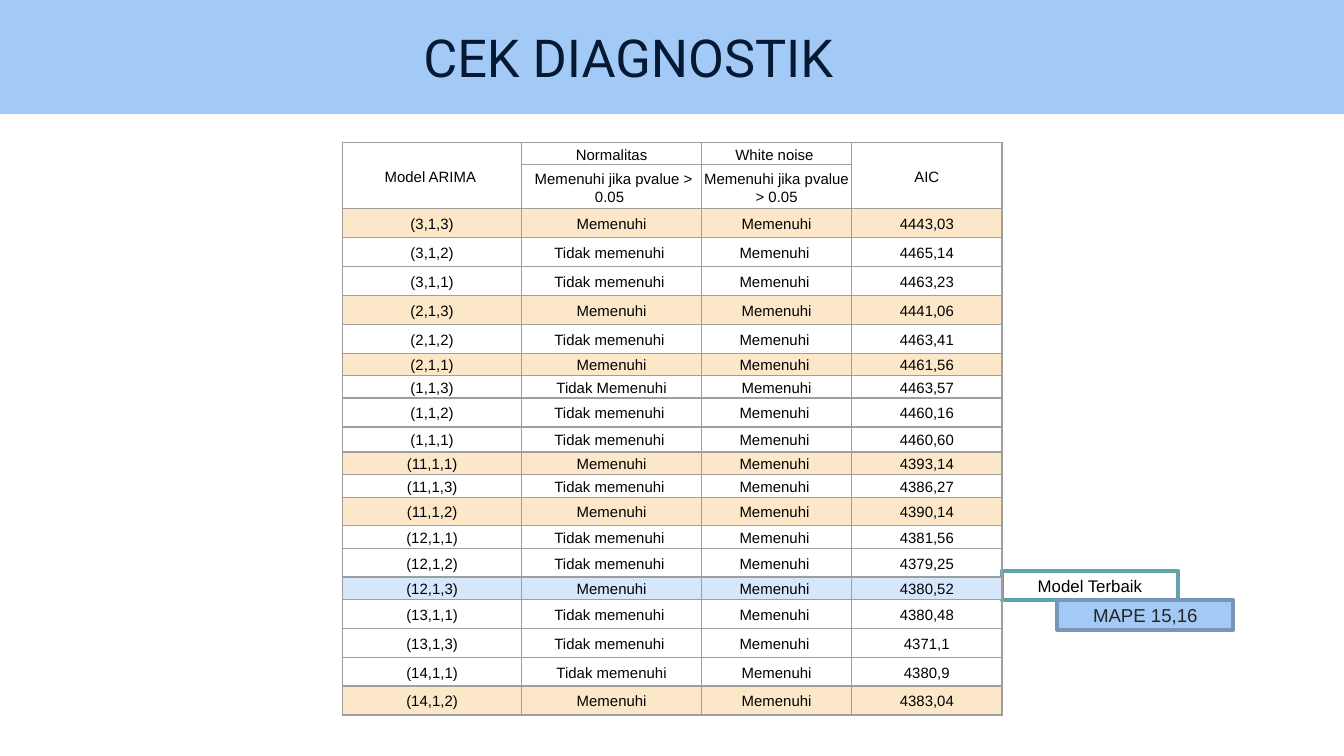
from dataclasses import dataclass

from lxml import etree
from pptx import Presentation
from pptx.dml.color import RGBColor
from pptx.enum.shapes import MSO_SHAPE
from pptx.enum.text import MSO_ANCHOR, PP_ALIGN
from pptx.oxml.ns import qn
from pptx.util import Pt

RECTANGLE = MSO_SHAPE.RECTANGLE
CENTER, LEFT = PP_ALIGN.CENTER, PP_ALIGN.LEFT
MIDDLE, TOP = MSO_ANCHOR.MIDDLE, MSO_ANCHOR.TOP
TITLE_ONLY_LAYOUT = 5

SLIDE_WIDTH, SLIDE_HEIGHT = 720, 405
BAND_HEIGHT = 61.2
TABLE_LEFT, TABLE_TOP = 183.4, 76.3
COLUMN_WIDTHS = (96.2, 96.2, 80.6, 80.4)

BLUE, NAVY, BLACK, WHITE = "A3CAF7", "051934", "000000", "FFFFFF"
BORDER = "9E9E9E"
PASSED, BEST, PLAIN = "FCE7C9", "D6E6FB", None
SHORT, TALL = 12, 15.5


@dataclass(frozen=True)
class Row:
    values: tuple
    height: float = TALL
    fill: str | None = PLAIN


@dataclass(frozen=True)
class Callout:
    text: str
    left: float
    top: float
    fill: str
    line: str
    font_size: float
    font_color: str


FAILED_TEXT, PASSED_TEXT = "Tidak memenuhi ", "Memenuhi "

ROWS = (
    Row(("Model ARIMA ", "Normalitas", "White noise ", "AIC"), SHORT),
    Row(("", " Memenuhi jika pvalue > 0.05 ", "Memenuhi jika pvalue > 0.05", ""), 23.6),
    Row(("(3,1,3)", "Memenuhi", "Memenuhi", "4443,03"), fill=PASSED),
    Row(("(3,1,2)", FAILED_TEXT, PASSED_TEXT, "4465,14")),
    Row(("(3,1,1)", FAILED_TEXT, PASSED_TEXT, "4463,23")),
    Row(("(2,1,3)", "Memenuhi", "Memenuhi", "4441,06"), fill=PASSED),
    Row(("(2,1,2)", FAILED_TEXT, PASSED_TEXT, "4463,41")),
    Row(("(2,1,1)", "Memenuhi", PASSED_TEXT, "4461,56"), SHORT, PASSED),
    Row(("(1,1,3)", "Tidak Memenuhi", "Memenuhi", "4463,57"), SHORT),
    Row(("(1,1,2)", FAILED_TEXT, PASSED_TEXT, "4460,16")),
    Row(("(1,1,1)", FAILED_TEXT, PASSED_TEXT, "4460,60"), 13.4),
    Row(("(11,1,1)", "Memenuhi", PASSED_TEXT, "4393,14"), SHORT, PASSED),
    Row(("(11,1,3)", FAILED_TEXT, PASSED_TEXT, "4386,27"), 12.3),
    Row(("(11,1,2)", "Memenuhi", PASSED_TEXT, "4390,14"), 15, PASSED),
    Row(("(12,1,1)", FAILED_TEXT, PASSED_TEXT, "4381,56"), 12.3),
    Row(("(12,1,2)", FAILED_TEXT, PASSED_TEXT, "4379,25")),
    Row(("(12,1,3)", "Memenuhi", PASSED_TEXT, "4380,52"), SHORT, BEST),
    Row(("(13,1,1)", FAILED_TEXT, PASSED_TEXT, "4380,48")),
    Row(("(13,1,3)", FAILED_TEXT, PASSED_TEXT, "4371,1")),
    Row(("(14,1,1)", "Tidak memenuhi", "Memenuhi", "4380,9")),
    Row(("(14,1,2)", "Memenuhi", "Memenuhi", "4383,04"), fill=PASSED),
)

CALLOUTS = (
    Callout("Model Terbaik", 536.7, 305.8, WHITE, "5FA4AB", 9, BLACK),
    Callout("MAPE 15,16", 566.4, 321.6, BLUE, "7995B7", 10, "262626"),
)


def rgb(color: str) -> RGBColor:
    return RGBColor.from_string(color)


def format_paragraph(paragraph, font_name: str, size: float, color: str, alignment=CENTER) -> None:
    paragraph.alignment = alignment
    paragraph.font.name = font_name
    paragraph.font.size = Pt(size)
    paragraph.font.color.rgb = rgb(color)


def add_rectangle(slide, left: float, top: float, width: float, height: float, fill: str):
    shape = slide.shapes.add_shape(RECTANGLE, Pt(left), Pt(top), Pt(width), Pt(height))
    shape.shadow.inherit = False
    shape.fill.solid()
    shape.fill.fore_color.rgb = rgb(fill)
    shape.line.fill.background()
    return shape


def add_header(slide) -> None:
    """Fill the title placeholder and put the blue band behind it."""
    band = add_rectangle(slide, 0, 0, SLIDE_WIDTH, BAND_HEIGHT, BLUE)
    title = slide.shapes.title
    title._element.addprevious(band._element)
    title.left, title.top, title.width, title.height = Pt(219.6), Pt(6.5), Pt(556.6), Pt(45.4)
    frame = title.text_frame
    frame.text = "CEK DIAGNOSTIK"
    frame.vertical_anchor = TOP
    frame.margin_left = frame.margin_right = frame.margin_top = frame.margin_bottom = Pt(7.2)
    format_paragraph(frame.paragraphs[0], "Roboto", 28, NAVY, LEFT)


def add_callout(slide, callout: Callout) -> None:
    shape = add_rectangle(slide, callout.left, callout.top, 94.3, 15.8, callout.fill)
    shape.line.color.rgb = rgb(callout.line)
    shape.line.width = Pt(2)
    frame = shape.text_frame
    frame.text = callout.text
    frame.word_wrap = True
    frame.vertical_anchor = MIDDLE
    format_paragraph(frame.paragraphs[0], "Arial", callout.font_size, callout.font_color)


def add_borders(cell) -> None:
    properties = cell._tc.get_or_add_tcPr()
    for side in ("a:lnL", "a:lnR", "a:lnT", "a:lnB"):
        line = etree.SubElement(properties, qn(side), w=str(Pt(0.75)))
        solid = etree.SubElement(line, qn("a:solidFill"))
        etree.SubElement(solid, qn("a:srgbClr"), val=BORDER)


def format_cell(cell, text: str, fill: str | None, side_margin: float) -> None:
    add_borders(cell)
    if fill:
        cell.fill.solid()
        cell.fill.fore_color.rgb = rgb(fill)
    else:
        cell.fill.background()
    cell.vertical_anchor = MIDDLE
    cell.margin_left = cell.margin_right = Pt(side_margin)
    cell.margin_top, cell.margin_bottom = Pt(0.7), Pt(0)
    cell.text = text
    paragraph = cell.text_frame.paragraphs[0]
    paragraph.line_spacing = 1.07
    paragraph.space_after = Pt(8)
    format_paragraph(paragraph, "Arial", 8, BLACK)


def add_model_table(slide) -> None:
    table = slide.shapes.add_table(
        len(ROWS), len(COLUMN_WIDTHS), Pt(TABLE_LEFT), Pt(TABLE_TOP),
        Pt(sum(COLUMN_WIDTHS)), Pt(sum(row.height for row in ROWS)),
    ).table
    table.first_row = table.horz_banding = False
    for column, width in zip(table.columns, COLUMN_WIDTHS):
        column.width = Pt(width)
    for row_index, row in enumerate(ROWS):
        table.rows[row_index].height = Pt(row.height)
        for column_index, text in enumerate(row.values):
            side_margin = 0.7 if row_index > 1 and column_index == 0 else 1.4
            format_cell(table.cell(row_index, column_index), text, row.fill, side_margin)
    for column_index in (0, len(COLUMN_WIDTHS) - 1):
        table.cell(0, column_index).merge(table.cell(1, column_index))


def main() -> None:
    presentation = Presentation()
    presentation.slide_width, presentation.slide_height = Pt(SLIDE_WIDTH), Pt(SLIDE_HEIGHT)
    slide = presentation.slides.add_slide(presentation.slide_layouts[TITLE_ONLY_LAYOUT])
    add_header(slide)
    for callout in CALLOUTS:
        add_callout(slide, callout)
    add_model_table(slide)
    presentation.save("out.pptx")


if __name__ == "__main__":
    main()
